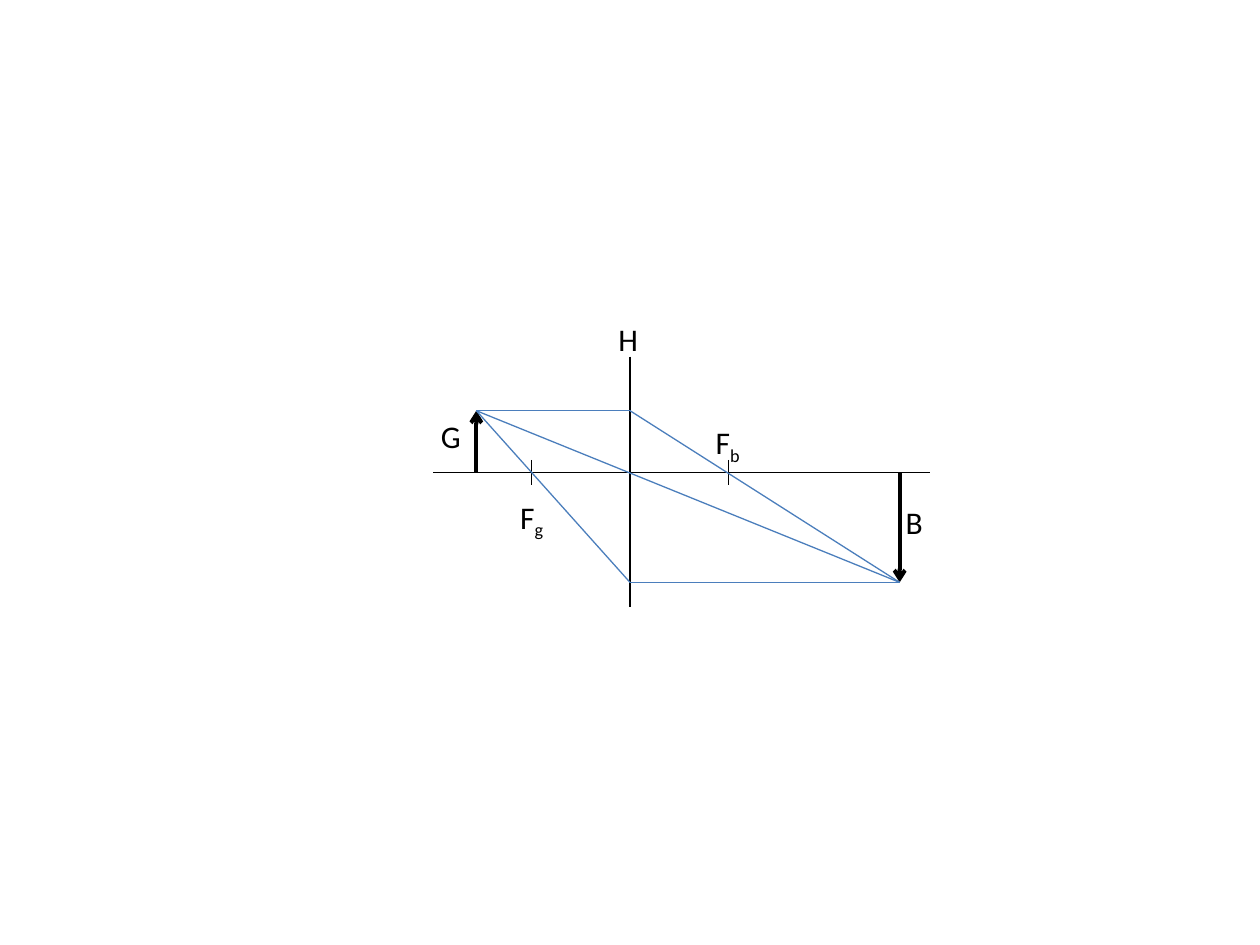
"""Build a slide with the ray diagram of a thin lens."""
import pptx
import pptx.util
import pptx.dml.color
import pptx.enum.shapes
import pptx.enum.text
import pptx.oxml.ns
from lxml import etree

Pt = pptx.util.Pt
HUES = {"ink": "000000", "ray": "4B7EBC", "paper": "FFFFFF"}
LENS, AXIS = 360, 270
FOCUS, TICK = 56.2, 7.2
LEFT, RIGHT = 272.2, 514.1
TOP, BASE = 234.7, 332.8

PANEL = (237.6, 172.1, 304.6, 182.2)
TIP, END = (LEFT, TOP), (RIGHT, BASE)
HIGH, LOW = (LENS, TOP), (LENS, BASE)
MARKS = [((x, AXIS - TICK), (x, AXIS + TICK))
         for x in (LENS - FOCUS, LENS + FOCUS)]
THIN = [((247.7, AXIS), (531.4, AXIS)), ((LENS, 203.8), (LENS, 347))] + MARKS
BOLD = [((LEFT, AXIS), TIP), ((RIGHT, AXIS), END)]
RAYS = [(TIP, HIGH), (HIGH, END), (TIP, LOW), (LOW, END), (TIP, END)]
LABELS = [
    ("F", "g", 290.2, 280.8, 28.8),
    ("F", "b", 401.8, 238.3, 29.5),
    ("H", "", 346.3, 179.3, 25.9),
    ("G", "", 244.8, 234.7, 25.9),
    ("B", "", 510.5, 283.7, 24.5),
]


def color(name):
    return pptx.dml.color.RGBColor.from_string(HUES[name])


def draw(slide, start, end, hue="ink", width=0.75, arrow=False):
    line = slide.shapes.add_connector(
        pptx.enum.shapes.MSO_CONNECTOR.STRAIGHT, *map(Pt, start + end))
    line.line.color.rgb = color(hue)
    line.line.width = Pt(width)
    qn = pptx.oxml.ns.qn
    if arrow:
        etree.SubElement(line.line._get_or_add_ln(), qn("a:tailEnd"), type="arrow")
    etree.SubElement(line._element.spPr, qn("a:effectLst"))


def write(slide, text, sub="", left=0, top=0, width=0, height=29.1, size=18):
    box = slide.shapes.add_textbox(*map(Pt, (left, top, width, height)))
    frame = box.text_frame
    frame.word_wrap = False
    frame.auto_size = pptx.enum.text.MSO_AUTO_SIZE.SHAPE_TO_FIT_TEXT
    for part, shift in ((text, None), (sub, "-25000")):
        if part:
            run = frame.paragraphs[0].add_run()
            run.text = part
            run.font.name = "Calibri"
            run.font.size = Pt(size)
            run.font.color.rgb = color("ink")
            if shift:
                run.font._element.set("baseline", shift)


def main():
    deck = pptx.Presentation()
    deck.slide_width, deck.slide_height = Pt(720), Pt(540)
    slide = deck.slides.add_slide(deck.slide_layouts[6])
    panel = slide.shapes.add_shape(
        pptx.enum.shapes.MSO_SHAPE.RECTANGLE, *map(Pt, PANEL))
    panel.shadow.inherit = False
    panel.fill.solid()
    panel.fill.fore_color.rgb = color("paper")
    panel.line.color.rgb = color("paper")
    panel.line.width = Pt(2)
    for start, end in THIN:
        draw(slide, start, end)
    for start, end in BOLD:
        draw(slide, start, end, width=2.25, arrow=True)
    for start, end in RAYS:
        draw(slide, start, end, hue="ray")
    for text, sub, left, top, width in LABELS:
        write(slide, text, sub=sub, left=left, top=top, width=width)
    deck.save("out.pptx")


if __name__ == "__main__":
    main()
